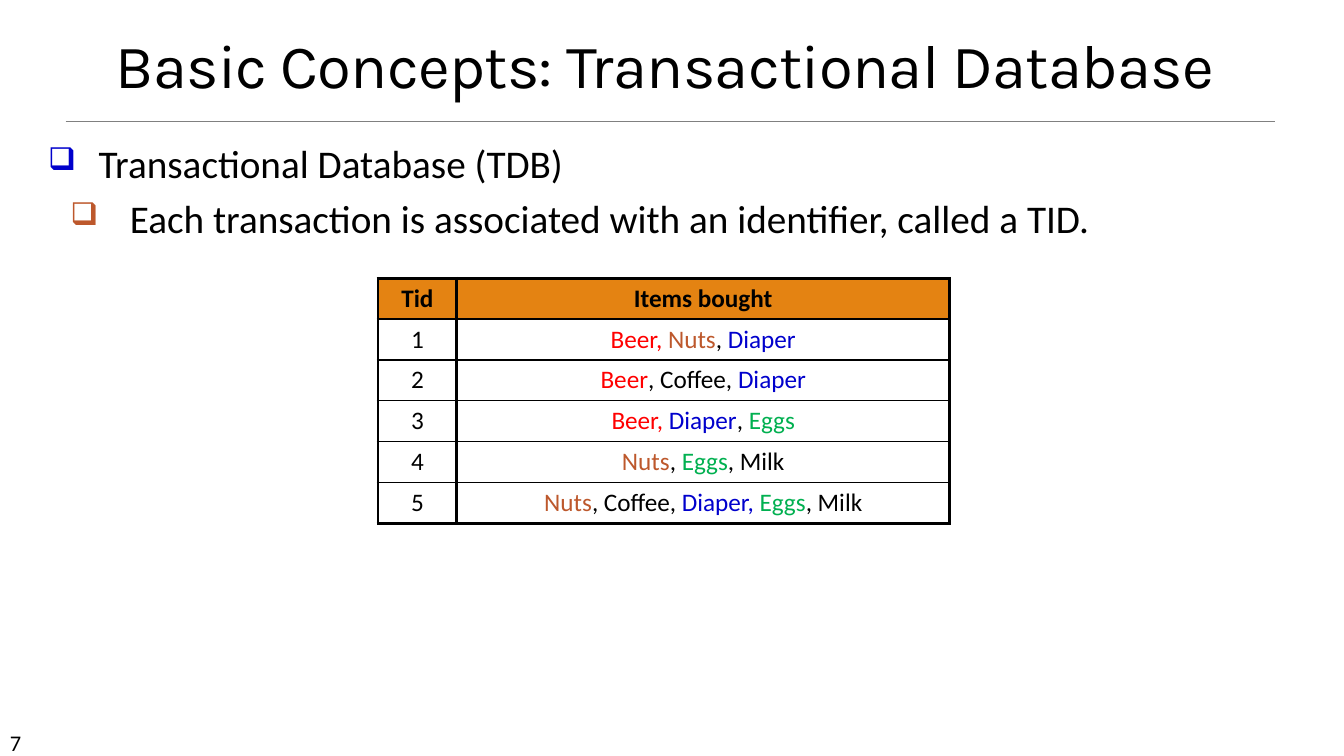
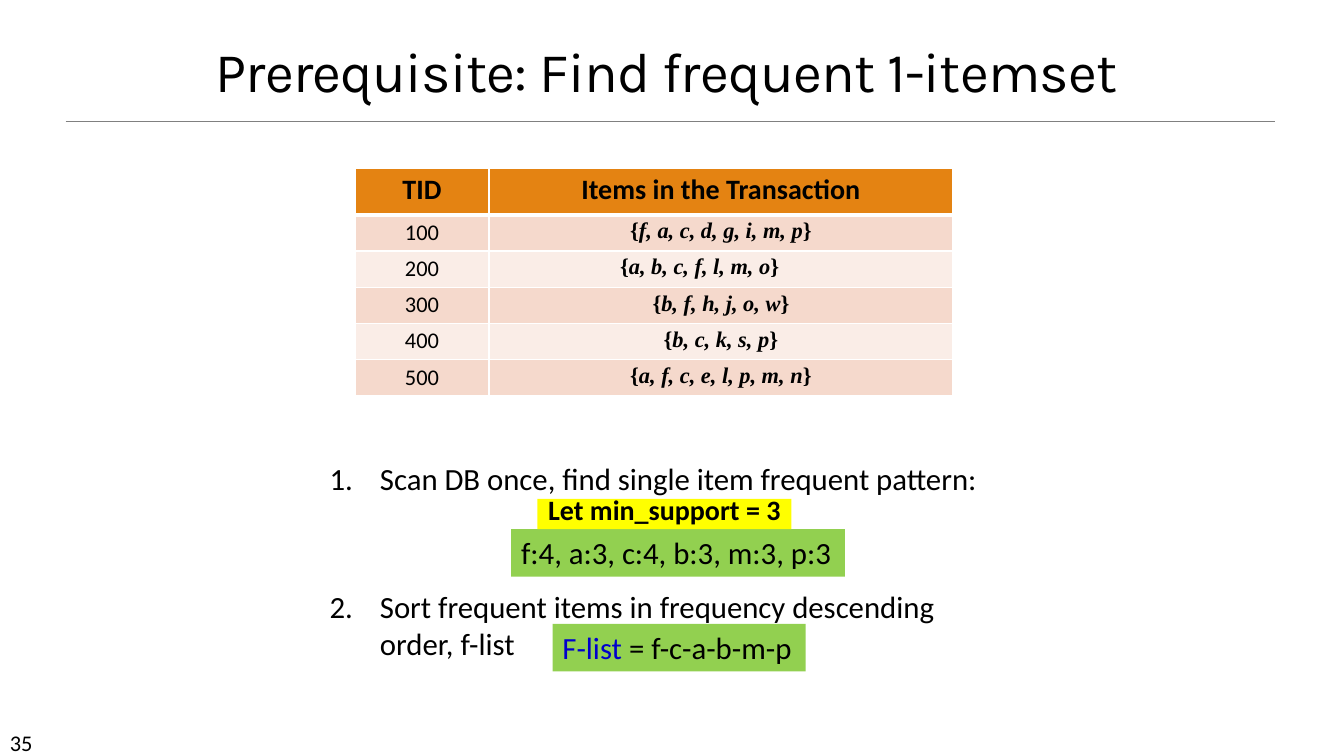
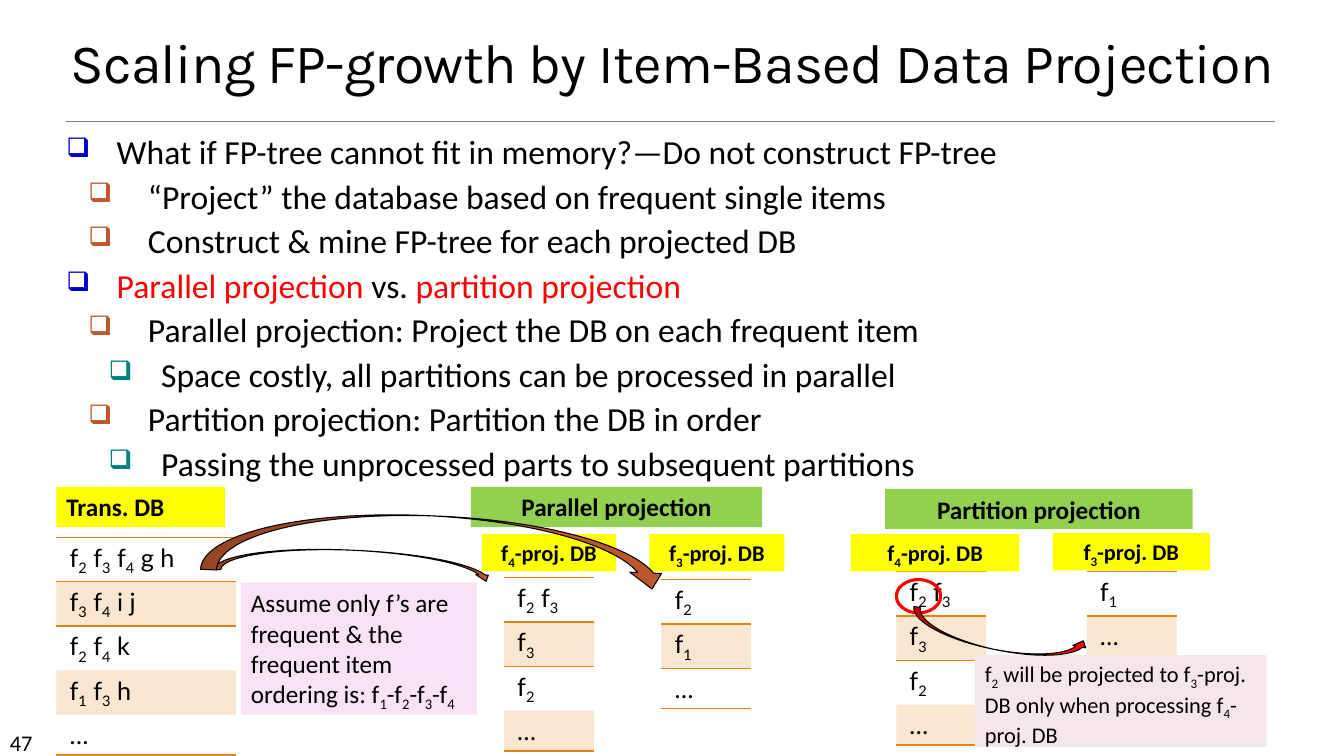
"""Builds three slides on frequent itemsets and FP-growth projection."""
from lxml.etree import SubElement
from pptx import Presentation
from pptx.dml.color import RGBColor
from pptx.enum.shapes import MSO_CONNECTOR as LINE, MSO_SHAPE as SHAPE
from pptx.enum.text import MSO_ANCHOR as ANCHOR, MSO_AUTO_SIZE as AUTO, PP_ALIGN as ALIGN
from pptx.oxml.ns import qn
from pptx.util import Pt

SCALE = 9144
WIDTH, HEIGHT = 1333, 750
PLAIN_TABLE = "{2D5ABB26-0587-4C30-8999-92F81FD0307C}"

ORANGE, YELLOW, GREEN = "E48312", "FFFF00", "92D050"
BLACK = {"color": "000000"}
RED = {"color": "FF0000"}
RUST = {"color": "BD582C"}
BLUE = {"color": "0000CC"}
LEAF = {"color": "00B050"}
SUB = {"baseline": "-25000"}
ITALIC = {"italic": True}

BASE = {"name": "Calibri", "size": 18, "bold": False, **BLACK}
BOLD = {**BASE, "bold": True}
TITLE = {**BASE, "name": "Karla", "spc": "-50"}
LATO = {**BASE, "name": "Lato"}
SET_LOOK = {**BOLD, "name": "Times New Roman", "size": 16}
LEVELS = [(50, -50, "0000CC"), (81, -59, "BD582C"), (94, -52, "008080")]

TDB_POINTS = [
    (0, "Transactional Database (TDB)"),
    (1, "Each transaction is associated with an identifier, called a TID."),
]
BASKETS = [
    [("Beer, ", RED), ("Nuts", RUST), (", ", BLACK), ("Diaper", BLUE)],
    [("Beer", RED), (", Coffee, ", BLACK), ("Diaper", BLUE)],
    [("Beer, ", RED), ("Diaper", BLUE), (", ", BLACK), ("Eggs", LEAF)],
    [("Nuts", RUST), (", ", BLACK), ("Eggs", LEAF), (", Milk", BLACK)],
    [("Nuts", RUST), (", Coffee, ", BLACK), ("Diaper, ", BLUE), ("Eggs", LEAF), (", Milk", BLACK)],
]
BASKET_GRID = {"color": "000000", "side": 2.25, "outer": 2.25, "head": 2.25, "inner": 1}

ITEM_SETS = [
    ("f, a, c, d, g, i, m, p", "}"),
    ("a, b, c, f, l, m, o", "}\t"),
    ("b, f, h, j, o, w", "}"),
    ("b, c, k, s, p", "}"),
    ("a, f, c, e, l, p, m, n", "}"),
]
SET_GRID = {"color": "FFFFFF", "side": 1, "outer": 1, "head": 3, "inner": 1}
STEPS = [
    "Scan DB once, find single item frequent pattern:",
    "Sort frequent items in frequency descending order, f-list",
]
STEP_GAP = 65

SCALING_POINTS = [
    (0, "What if FP-tree cannot fit in memory?—Do not construct FP-tree"),
    (1, "“Project” the database based on frequent single items"),
    (1, "Construct & mine FP-tree for each projected DB"),
    (0, [("Parallel projection ", RED), ("vs. ", BLACK), ("partition projection", RED)]),
    (1, "Parallel projection: Project the DB on each frequent item"),
    (2, "Space costly, all partitions can be processed in parallel"),
    (1, "Partition projection: Partition the DB in order"),
    (2, "Passing the unprocessed parts to subsequent partitions"),
]
PROJECTIONS = [
    (56, 533, 178, ["f~2 f~3 f~4 g h", "f~3 f~4 i j", "f~2 f~4 k", "f~1 f~3 h", "…"]),
    (500, 573, 89, ["f~2 f~3", "f~3", "f~2", "…"]),
    (656, 575, 89, ["f~2", "f~1", "…"]),
    (889, 567, 89, ["f~2 f~3", "f~3", "f~2", "…"]),
    (1078, 567, 89, ["f~1", "…"]),
]
PROJECTION_GRID = {"color": ORANGE, "side": 0, "outer": 1, "head": 1, "inner": 0}
HEADINGS = [
    ((56, 483, 167, 40), YELLOW, "Trans. DB", ALIGN.LEFT),
    ((467, 483, 289, 40), GREEN, "Parallel projection", ALIGN.CENTER),
    ((878, 485, 305, 40), GREEN, "Partition projection", ALIGN.CENTER),
]
DB_LABELS = [
    ((478, 530, 133, 37), "f~4-proj. DB"),
    ((644, 530, 134, 37), "f~3-proj. DB"),
    ((844, 530, 167, 37), "f~4-proj. DB"),
    ((1044, 529, 156, 37), "f~3-proj. DB"),
]
NOTES = [
    ((239, 578, 234, 131), "FAE2F6", 18,
     "Assume only f’s are frequent & the frequent item ordering is: f~1-f~2-f~3-f~4"),
    ((967, 650, 289, 91), "F6E6EA", 16,
     "f~2 will be projected to f~3-proj. DB only when processing f~4-proj. DB"),
]
ARROWS = [
    ((902, 619, 178, 26), 11.5, False, "FF0000"),
    ((213, 546, 276, 25), 2.5, True, "BD582C"),
    ((200, 512, 464, 63), 2.5, True, "BD582C"),
]


def px(*lengths):
    return [round(length * SCALE) for length in lengths]


def rgb(value):
    return RGBColor.from_string(value)


def spans_of(text):
    """Splits text into spans, a tilde marking a subscript character."""
    if not isinstance(text, str):
        return text
    first, *others = text.split("~")
    spans = [(first, {})]
    for part in others:
        spans += [(part[0], SUB), (part[1:], {})]
    return [span for span in spans if span[0]]


def write(para, text, look, **layout):
    for key, value in layout.items():
        setattr(para, key, value)
    for words, change in spans_of(text):
        span = para.add_run()
        span.text = words
        for key, value in {**look, **change}.items():
            if key == "color":
                span.font.color.rgb = rgb(value)
            elif key in ("baseline", "spc"):
                span.font._element.set(key, value)
            else:
                setattr(span.font, key, Pt(value) if key == "size" else value)


def mark(para, left, indent, color=None):
    """Adds a coloured box bullet, or a number where no colour is given."""
    props = para._p.get_or_add_pPr()
    for key, value in zip(("marL", "indent"), px(left, indent)):
        props.set(key, str(value))
    if color:
        SubElement(SubElement(props, qn("a:buClr")), qn("a:srgbClr")).set("val", color)
        SubElement(props, qn("a:buSzPct")).set("val", "80000")
        SubElement(props, qn("a:buChar")).set("char", "❑")
    else:
        SubElement(props, qn("a:buAutoNum")).set("type", "arabicPeriod")


def set_frame(frame, anchor=ANCHOR.TOP, wrap=True):
    frame.auto_size = AUTO.NONE
    frame.vertical_anchor = anchor
    frame.word_wrap = wrap
    return frame


def add_text(page, place):
    return set_frame(page.shapes.add_textbox(*px(*place)).text_frame)


def add_points(page, place, points, size, gap):
    frame = add_text(page, place)
    for index, (level, text) in enumerate(points):
        para = frame.add_paragraph() if index else frame.paragraphs[0]
        mark(para, *LEVELS[level])
        write(para, text, {**BASE, "size": size}, level=level, space_before=Pt(gap if index else 0))


def add_figure(page, kind, place, fill=None, line=None, weight=0.75):
    figure = page.shapes.add_shape(kind, *px(*place))
    figure.shadow.inherit = False
    if fill:
        figure.fill.solid()
        figure.fill.fore_color.rgb = rgb(fill)
    else:
        figure.fill.background()
    if line:
        figure.line.color.rgb = rgb(line)
        figure.line.width = Pt(weight)
    else:
        figure.line.fill.background()
    return figure


def add_label(page, place, fill, text, look, align=ALIGN.LEFT, wrap=True, **layout):
    frame = set_frame(add_figure(page, SHAPE.RECTANGLE, place, fill).text_frame, wrap=wrap)
    write(frame.paragraphs[0], text, look, alignment=align, **layout)


def add_edges(cell, row, last, grid):
    top = grid["outer"] if row == 0 else grid["head"] if row == 1 else grid["inner"]
    bottom = grid["outer"] if row == last else grid["head"] if row == 0 else grid["inner"]
    props = cell._tc.get_or_add_tcPr()
    for side, weight in zip("LRTB", (grid["side"], grid["side"], top, bottom)):
        if weight:
            edge = SubElement(props, qn(f"a:ln{side}"), w=str(Pt(weight)))
            SubElement(SubElement(edge, qn("a:solidFill")), qn("a:srgbClr")).set("val", grid["color"])


def paint(cell, fill, alpha=None):
    if not fill:
        cell.fill.background()
        return
    cell.fill.solid()
    cell.fill.fore_color.rgb = rgb(fill)
    if alpha:
        color = cell._tc.tcPr.find(f"{qn('a:solidFill')}/{qn('a:srgbClr')}")
        SubElement(color, qn("a:alpha")).set("val", str(alpha * 1000))


def add_grid(page, corner, widths, heights, rows, grid, fills, looks, head=None,
             align=ALIGN.CENTER, pad=5):
    """Adds a table; fills holds the head, odd and even row fills."""
    place = (*corner, sum(widths), sum(heights))
    table = page.shapes.add_table(len(rows), len(widths), *px(*place)).table
    table.first_row = table.horz_banding = False
    table._tbl.tblPr.find(qn("a:tableStyleId")).text = PLAIN_TABLE
    for column, width in zip(table.columns, px(*widths)):
        column.width = width
    for line, height in zip(table.rows, px(*heights)):
        line.height = height
    for row, texts in enumerate(rows):
        for col, text in enumerate(texts):
            cell = table.cell(row, col)
            cell.margin_left, cell.margin_right, cell.margin_top, cell.margin_bottom = px(13, 13, pad, pad)
            add_edges(cell, row, len(rows) - 1, grid)
            paint(cell, *(fills[0] if row == 0 else fills[2 - row % 2]))
            look = head if head and row == 0 else looks[col]
            write(cell.text_frame.paragraphs[0], text, look, alignment=align)


def add_page(deck, title, place, size, number, anchor=ANCHOR.BOTTOM):
    page = deck.slides.add_slide(deck.slide_layouts[5])
    heading = page.shapes.title
    heading.left, heading.top, heading.width, heading.height = px(*place)
    frame = set_frame(heading.text_frame, anchor)
    write(frame.paragraphs[0], title, {**TITLE, "size": size}, alignment=ALIGN.CENTER, line_spacing=0.85)
    rule = page.shapes.add_connector(LINE.STRAIGHT, *px(65, 120, 1265, 120))
    rule.line.color.rgb = rgb("808080")
    rule.line.width = Pt(0.5)
    SubElement(rule._element.spPr, qn("a:effectLst"))
    write(add_text(page, (0, 718, 117, 30)).paragraphs[0], number, {**BASE, "size": 16})
    return page


def build_database(deck):
    page = add_page(deck, "Basic Concepts: Transactional Database", (38, 24, 1243, 81), 44, "7")
    add_points(page, (38, 133, 1247, 589), TDB_POINTS, 28, 6)
    rows = [("Tid", "Items bought")] + [(str(tid), items) for tid, items in enumerate(BASKETS, 1)]
    add_grid(page, (375, 276), (78, 489), [40] * len(rows), rows, BASKET_GRID,
             [(ORANGE,), (None,), (None,)], (BASE, BASE), BOLD)


def build_itemset(deck):
    page = add_page(deck, "Prerequisite: Find frequent 1-itemset", (22, 33, 1278, 75), 40, "35")
    frame = add_text(page, (317, 451, 664, 212))
    step_look = {**BASE, "size": 22}
    for index, step in enumerate(STEPS):
        para = frame.add_paragraph() if index else frame.paragraphs[0]
        mark(para, 50, -50)
        write(para, step, step_look, space_before=Pt(STEP_GAP * index))
    rows = [("TID", "Items in the Transaction")]
    for index, (items, close) in enumerate(ITEM_SETS, 1):
        rows.append((str(index * 100), [("{", {}), (items, ITALIC), (close, {})]))
    add_grid(page, (352, 167), (133, 460), [46] + [36] * len(ITEM_SETS), rows, SET_GRID,
             [(ORANGE,), ("F5D9CC",), ("FAEDE7",)], ({**BASE, "size": 16}, SET_LOOK),
             {**BOLD, "size": 20}, pad=4)
    f_list = [("F-list ", BLUE), ("= f-c-a-b-m-p", BLACK)]
    add_label(page, (548, 619, 251, 47), GREEN, f_list, step_look, wrap=False)
    add_label(page, (507, 525, 331, 47), GREEN, "f:4, a:3, c:4, b:3, m:3, p:3", step_look, wrap=False)
    add_label(page, (533, 495, 252, 30), YELLOW, "Let min_support = 3", {**BOLD, "size": 20},
              ALIGN.CENTER, line_spacing=0.6)


def build_scaling(deck):
    page = add_page(deck, "Scaling FP-growth by Item-Based Data Projection", (0, 33, WIDTH, 66),
                    39.6, "47", ANCHOR.MIDDLE)
    add_points(page, (56, 125, 1256, 358), SCALING_POINTS, 24, 3)
    for left, top, width, items in PROJECTIONS:
        add_grid(page, (left, top), (width,), [40] * len(items), [(item,) for item in items],
                 PROJECTION_GRID, [(None,), (ORANGE, 20), (None,)], (LATO,), align=ALIGN.LEFT)
    for place, fill, text, align in HEADINGS:
        add_label(page, place, fill, text, BOLD, align)
    for place, text in DB_LABELS:
        add_label(page, place, YELLOW, text, {**BOLD, "size": 16}, ALIGN.CENTER)
    add_figure(page, SHAPE.OVAL, (889, 575, 44, 33), line="FF0000", weight=2.25)
    for place, fill, size, text in NOTES:
        add_label(page, place, fill, text, {**BASE, "size": size})
    for place, turn, flipped, fill in ARROWS:
        arrow = add_figure(page, SHAPE.CURVED_UP_ARROW, place, fill, "000000")
        arrow.rotation = turn
        if flipped:
            arrow._element.spPr.xfrm.set("flipV", "1")


def main():
    deck = Presentation()
    deck.slide_width, deck.slide_height = px(WIDTH, HEIGHT)
    build_database(deck)
    build_itemset(deck)
    build_scaling(deck)
    deck.save("out.pptx")


if __name__ == "__main__":
    main()
